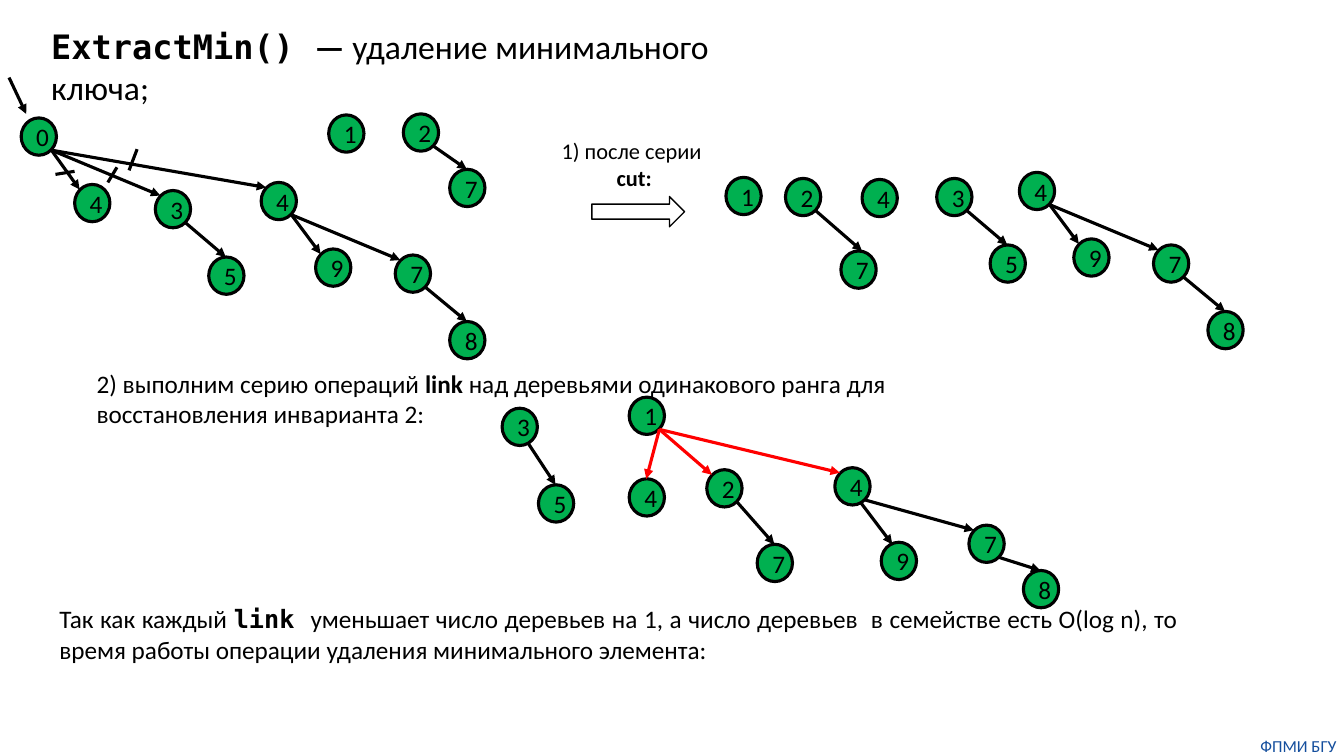
from dataclasses import dataclass

from lxml.etree import SubElement
from pptx import Presentation
from pptx.dml.color import RGBColor
from pptx.enum.shapes import MSO_CONNECTOR, MSO_SHAPE
from pptx.enum.text import MSO_AUTO_SIZE, PP_ALIGN
from pptx.oxml.ns import qn
from pptx.util import Inches, Pt

BLACK = RGBColor(0x00, 0x00, 0x00)
GREEN = RGBColor(0x00, 0xB0, 0x50)
RED = RGBColor(0xFF, 0x00, 0x00)
BLUE = RGBColor(0x14, 0x4E, 0x9D)
SANS, MONO = "Calibri", "DejaVu Sans Mono"

NODE_W, NODE_H = 0.35, 0.37
# Points on a node where edges attach, from its top left
TOP, UPPER_LEFT = (0.17, 0), (0.05, 0.05)
LOWER_RIGHT, LOWER = (0.3, 0.32), (0.26, 0.35)


@dataclass
class Tree:
    """A heap tree; dx and dy are measured from the parent node."""
    key: int
    dx: float
    dy: float
    children: tuple = ()
    end: tuple = UPPER_LEFT
    start: tuple = LOWER_RIGHT
    color: RGBColor = BLACK


def three(dx, dy):
    return Tree(3, dx, dy, (Tree(5, 0.53, 0.66, end=TOP),))


def four(dx, dy):
    eight = Tree(8, 0.54, 0.66, end=TOP)
    return Tree(4, dx, dy, (Tree(9, 0.54, 0.66), Tree(7, 1.33, 0.72, (eight,))))


BEFORE = (
    Tree(0, 0, 0.04, (Tree(4, 0.53, 0.66), three(1.33, 0.72), four(2.38, 0.64))),
    Tree(1, 3.05, 0.01),
    Tree(2, 3.79, 0, (Tree(7, 0.46, 0.55, end=TOP),)),
)
AFTER_CUT = (
    Tree(1, 0, 0.05),
    Tree(2, 0.59, 0.06, (Tree(7, 0.55, 0.72, end=(0.21, 0)),)),
    Tree(4, 1.35, 0.07),
    three(2.09, 0.06),
    four(2.91, 0),
)
AFTER_LINK = (
    Tree(3, 0, 0.11, (Tree(5, 0.36, 0.76, end=TOP, start=LOWER),)),
    Tree(1, 1.26, 0, (
        Tree(4, 0, 0.81, end=TOP, color=RED),
        Tree(2, 0.77, 0.72, (Tree(7, 0.5, 0.74, end=TOP),), color=RED),
        Tree(4, 2.04, 0.7, (
            Tree(9, 0.46, 0.74, end=(0.11, 0.02), start=LOWER),
            Tree(7, 1.33, 0.57, (Tree(8, 0.54, 0.45, end=TOP),)),
        ), color=RED),
    )),
)


def add_line(s, x1, y1, x2, y2, color=BLACK, arrow=True):
    line = s.shapes.add_connector(MSO_CONNECTOR.STRAIGHT,
                                  Inches(x1), Inches(y1), Inches(x2), Inches(y2))
    line.line.color.rgb = color
    line.line.width = Pt(2.25)
    if arrow:
        SubElement(line.line._get_or_add_ln(), qn("a:tailEnd"), type="triangle")
    SubElement(line._element.spPr, qn("a:effectLst"))


def add_runs(p, runs, size, color=BLACK):
    """Each run is (text, bold) or (text, bold, font)."""
    for text, bold, *font in runs:
        r = p.add_run()
        r.text = text
        r.font.name = font[0] if font else SANS
        r.font.size = Pt(size)
        r.font.bold = bold
        r.font.color.rgb = color


def add_text(s, box, paragraphs, size, align=PP_ALIGN.LEFT, color=BLACK, wrap=True):
    tf = s.shapes.add_textbox(*map(Inches, box)).text_frame
    tf.word_wrap = wrap
    tf.auto_size = MSO_AUTO_SIZE.SHAPE_TO_FIT_TEXT
    for i, runs in enumerate(paragraphs):
        p = tf.add_paragraph() if i else tf.paragraphs[0]
        p.alignment = align
        add_runs(p, runs, size, color)
    return tf


def add_node(s, key, x, y):
    sp = s.shapes.add_shape(MSO_SHAPE.OVAL, Inches(x), Inches(y),
                            Inches(NODE_W), Inches(NODE_H))
    sp.shadow.inherit = False
    sp.fill.solid()
    sp.fill.fore_color.rgb = GREEN
    sp.line.color.rgb = BLACK
    sp.line.width = Pt(2.25)
    p = sp.text_frame.paragraphs[0]
    p.alignment = PP_ALIGN.CENTER
    add_runs(p, [(str(key), False)], 18)


def add_forest(s, x, y, trees):
    for tree in trees:
        left, top = x + tree.dx, y + tree.dy
        add_node(s, tree.key, left, top)
        add_forest(s, left, top, tree.children)
        for child in tree.children:
            add_line(s, left + child.start[0], top + child.start[1],
                     left + child.dx + child.end[0], top + child.dy + child.end[1],
                     child.color)


def add_initial_heap(s, x, y):
    """Draw the heap, the pointer to its minimum and the strokes cutting its edges."""
    add_forest(s, x, y, BEFORE)
    add_line(s, x - 0.12, y - 0.36, x + 0.05, y)
    for x1, y1, x2, y2 in ((1.15, 0.35, 1.07, 0.56), (0.95, 0.53, 0.86, 0.68),
                           (0.34, 0.6, 0.53, 0.57)):
        add_line(s, x + x1, y + y1, x + x2, y + y2, arrow=False)


def add_cut_step(s, x, y):
    add_text(s, (x, y, 1.66, 0.64), [[("1) после серии ", False)], [("cut:", True)]],
             16, PP_ALIGN.CENTER, wrap=False)
    arrow = s.shapes.add_shape(MSO_SHAPE.RIGHT_ARROW, Inches(x + 0.41), Inches(y + 0.64),
                               Inches(0.92), Inches(0.3))
    arrow.shadow.inherit = False
    arrow.fill.background()
    arrow.line.color.rgb = BLACK
    arrow.line.width = Pt(1)


def add_footer(s, box):
    tf = add_text(s, box, [[("ФПМИ БГУ", False)]], 12, PP_ALIGN.CENTER, BLUE)
    tf.margin_left = tf.margin_right = tf.margin_top = tf.margin_bottom = 0


def main():
    prs = Presentation()
    prs.slide_width, prs.slide_height = Inches(13.33), Inches(7.5)
    s = prs.slides.add_slide(prs.slide_layouts[6])
    add_footer(s, (12.43, 7.3, 0.9, 0.2))
    add_text(s, (0.41, 0.21, 7.63, 0.5),
             [[("ExtractMin() ", True, MONO), ("— ", True),
               ("удаление минимального ключа;", False)]], 24)
    add_initial_heap(s, 0.21, 1.13)
    add_cut_step(s, 5.46, 1.31)
    add_forest(s, 7.2, 1.71, AFTER_CUT)
    add_text(s, (0.86, 3.6, 9.02, 0.71),
             [[("2) выполним серию операций ", False), ("link", True),
               (" над деревьями одинакового ранга для восстановления инварианта 2:",
                False)]], 18)
    add_forest(s, 4.98, 3.94, AFTER_LINK)
    add_text(s, (0.49, 5.94, 11.29, 0.71),
             [[("Так как каждый ", False), ("link ", True, MONO),
               ("уменьшает число деревьев на 1, а число деревьев  в семействе есть "
                "O(log n), то время работы операции удаления минимального элемента: ",
                False)]], 18, PP_ALIGN.JUSTIFY)
    prs.save("out.pptx")


if __name__ == "__main__":
    main()
